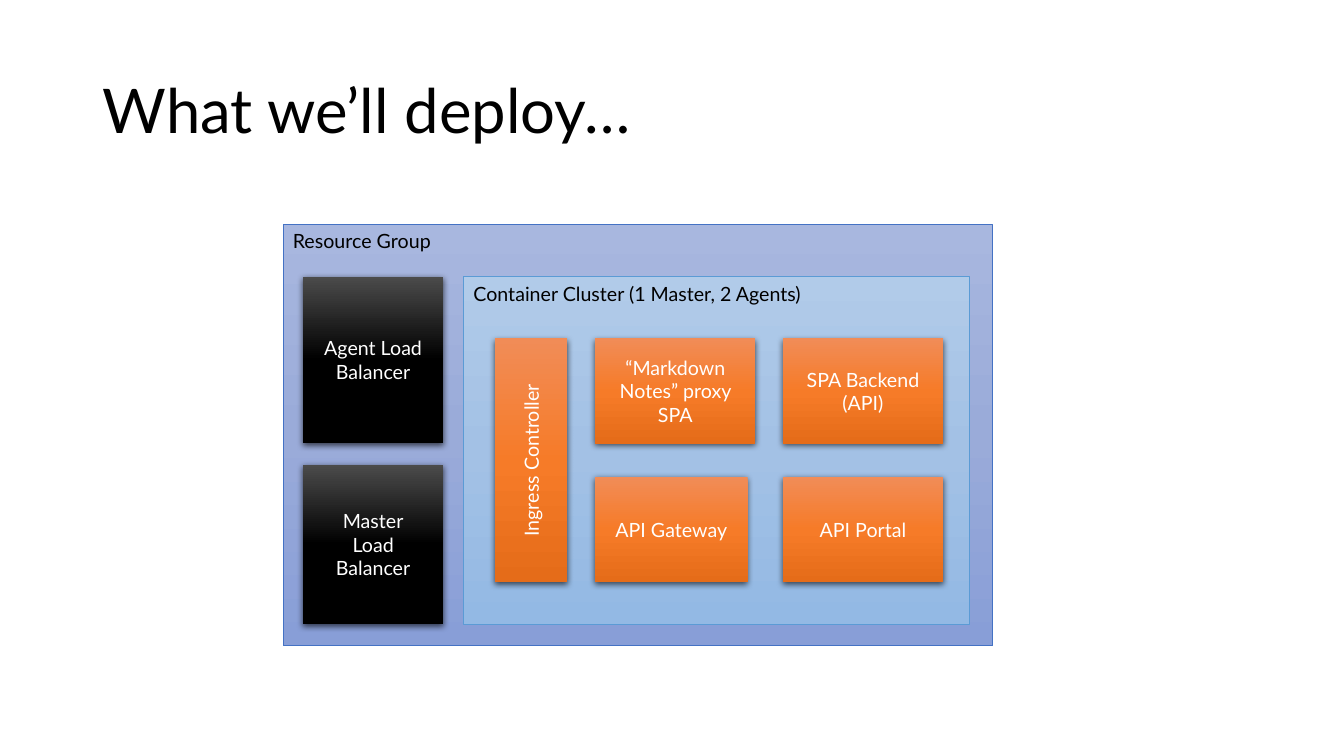
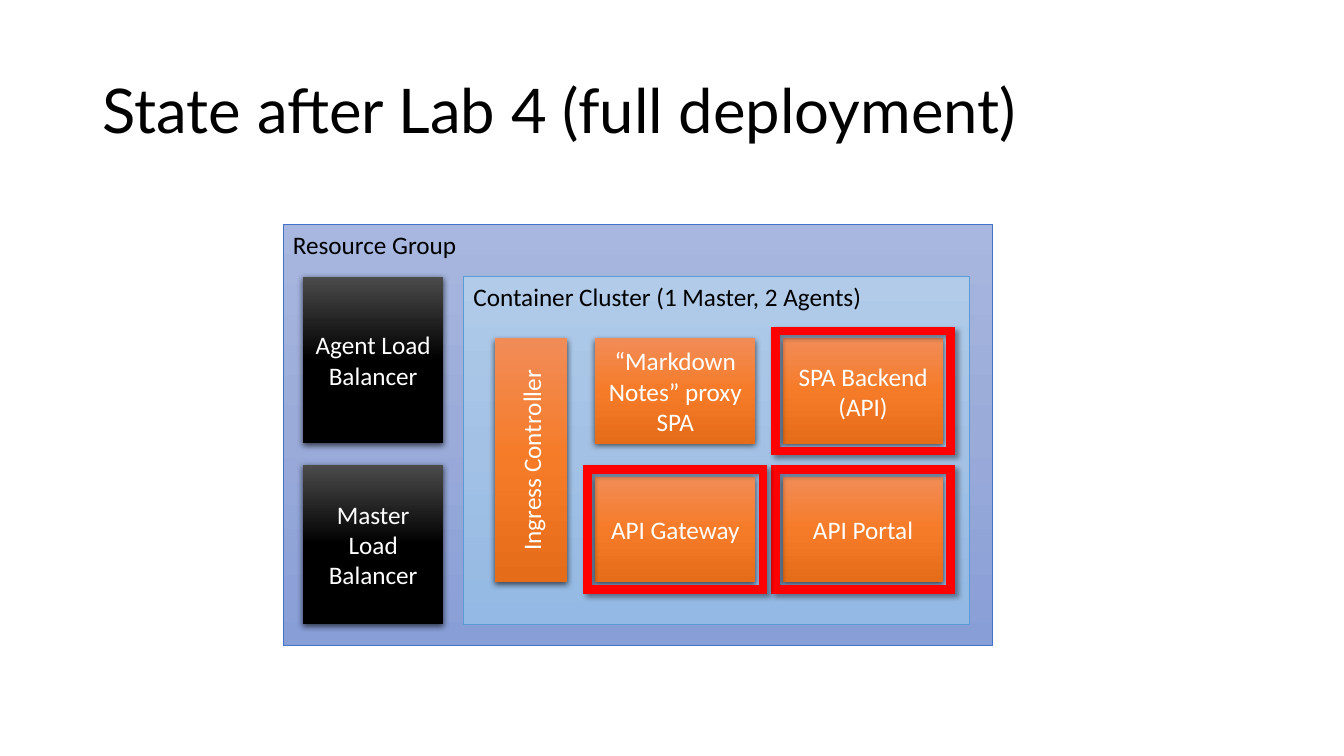
import copy

import lxml.etree
import pptx
import pptx.dml.color
import pptx.enum.shapes
import pptx.enum.text
import pptx.oxml.ns
import pptx.util
from pptx.util import Cm

RGB = pptx.dml.color.RGBColor
ALIGN = pptx.enum.text.PP_ALIGN
ANCHOR = pptx.enum.text.MSO_ANCHOR
qn = pptx.oxml.ns.qn

BLACK = RGB(0x00, 0x00, 0x00)
WHITE = RGB(0xFF, 0xFF, 0xFF)
RED = RGB(0xFF, 0x00, 0x00)
BLUE = RGB(0x44, 0x72, 0xC4)
SKY = RGB(0x5B, 0x9B, 0xD5)

# Top, middle and bottom colour of each gradient
GROUP = (RGB(0xA8, 0xB7, 0xDF), RGB(0x9A, 0xAB, 0xD9), RGB(0x88, 0x9E, 0xD7))
CLUSTER = (RGB(0xB1, 0xCB, 0xE9), RGB(0xA3, 0xC1, 0xE5), RGB(0x93, 0xB9, 0xE4))
DARK = (RGB(0x4B, 0x4B, 0x4B), BLACK, BLACK)
ORANGE = (RGB(0xF1, 0x8C, 0x57), RGB(0xF6, 0x7B, 0x28), RGB(0xE5, 0x6C, 0x19))

# Opacity in percent, blur and distance in points, direction in degrees
SOFT = (63, 4.5, 1.5, 90)
SLANT = (40, 4, 3, 45)

# Grid of the service boxes, in centimetres
COLS = (15.0, 19.73)
ROWS = (8.53, 12.02)
WIDE, HIGH = 4.04, 2.65
PAD = 0.19


def add_title(slide, text):
    """Place and format the slide title."""
    title = slide.shapes.title
    title.left, title.top = Cm(2.33), Cm(1.02)
    title.width, title.height = Cm(29.21), Cm(3.68)
    frame = title.text_frame
    frame.text = text
    frame.auto_size = pptx.enum.text.MSO_AUTO_SIZE.NONE
    frame.vertical_anchor = ANCHOR.MIDDLE
    para = frame.paragraphs[0]
    para.alignment = ALIGN.LEFT
    para.line_spacing = 0.9
    set_font(para, ("Lato", 44), BLACK)


def set_font(para, face, color):
    """Set the font of a paragraph; face is a name and a size."""
    para.font.name = face[0]
    para.font.size = pptx.util.Pt(face[1])
    para.font.color.rgb = color


def add_rect(slide, left, top, width, height):
    """Add a rectangle without shadow, measured in centimetres."""
    rect = slide.shapes.add_shape(
        pptx.enum.shapes.MSO_SHAPE.RECTANGLE,
        Cm(left), Cm(top), Cm(width), Cm(height))
    rect.shadow.inherit = False
    return rect


def set_grad(shape, colors):
    """Fill a shape with a three-stop gradient running downwards."""
    shape.fill.gradient()
    shape.fill.gradient_angle = 270
    stops = shape._element.spPr.find(".//" + qn("a:gsLst"))
    stops.append(copy.deepcopy(stops[0]))
    for stop, place, color in zip(shape.fill.gradient_stops, (0, 0.5, 1), colors):
        stop.position = place
        stop.color.rgb = color


def set_shade(shape, shade):
    """Give a shape a black outer shadow."""
    alpha, blur, dist, angle = shade
    sub = lxml.etree.SubElement
    effects = shape._element.spPr.find(qn("a:effectLst"))
    outer = sub(effects, qn("a:outerShdw"),
                blurRad=str(pptx.util.Pt(blur)), dist=str(pptx.util.Pt(dist)),
                dir=str(angle * 60000), rotWithShape="0")
    color = sub(outer, qn("a:srgbClr"), val=str(BLACK))
    sub(color, qn("a:alpha"), val=str(alpha * 1000))


def set_text(shape, text, face, color, align, anchor):
    """Write text into a shape, one paragraph a line."""
    frame = shape.text_frame
    frame.word_wrap = True
    frame.text = text
    frame.vertical_anchor = anchor
    for para in frame.paragraphs:
        para.alignment = align
        set_font(para, face, color)


def add_zone(slide, place, text, face, colors, edge):
    """Add an outlined area labelled at its top left."""
    zone = add_rect(slide, *place)
    set_grad(zone, colors)
    zone.line.color.rgb = edge
    zone.line.width = pptx.util.Pt(0.5)
    set_text(zone, text, face, BLACK, ALIGN.LEFT, ANCHOR.TOP)


def add_box(slide, place, text, face, colors):
    """Add a shaded box with centred white text."""
    box = add_rect(slide, *place)
    set_grad(box, colors)
    box.line.fill.background()
    set_shade(box, SOFT)
    set_text(box, text, face, WHITE, ALIGN.CENTER, ANCHOR.MIDDLE)
    return box


def add_mark(slide, col, row):
    """Frame one service box in red with sharp corners."""
    mark = add_rect(slide, COLS[col] - PAD, ROWS[row] - PAD,
                    WIDE + 2 * PAD, HIGH + 2 * PAD)
    mark.fill.background()
    mark.line.color.rgb = RED
    mark.line.width = pptx.util.Pt(6)
    edge = mark._element.spPr.find(qn("a:ln"))
    lxml.etree.SubElement(edge, qn("a:miter"), lim="800000")
    set_shade(mark, SLANT)


def add_plan(slide, face, gate=WIDE):
    """Draw the deployment; gate is the width of the gateway box."""
    add_zone(slide, (7.13, 5.65, 17.89, 10.62), "Resource Group",
             face, GROUP, BLUE)
    add_zone(slide, (11.68, 6.97, 12.75, 8.76),
             "Container Cluster (1 Master, 2 Agents)", face, CLUSTER, SKY)
    add_box(slide, (7.64, 6.97, 3.53, 4.2), "Agent Load Balancer", face, DARK)
    add_box(slide, (7.64, 11.71, 3.53, 4.02), "Master\nLoad Balancer", face, DARK)
    cells = (
        (0, 1, gate, "API Gateway"),
        (1, 1, WIDE, "API Portal"),
        (0, 0, WIDE, "“Markdown Notes” proxy SPA"),
        (1, 0, WIDE, "SPA Backend (API)"),
    )
    for col, row, width, text in cells:
        add_box(slide, (COLS[col], ROWS[row], width, HIGH), text, face, ORANGE)
    tall = ROWS[1] + HIGH - ROWS[0]
    entry = add_box(slide, (12.47, ROWS[0], 1.83, tall),
                    "Ingress Controller", face, ORANGE)
    entry.text_frame._txBody.find(qn("a:bodyPr")).set("vert", "vert270")


def main():
    """Build both slides and save them."""
    deck = pptx.Presentation()
    deck.slide_width, deck.slide_height = Cm(33.87), Cm(19.05)
    layout = deck.slide_layouts.get_by_name("Title Only")

    plan = deck.slides.add_slide(layout)
    add_title(plan, "What we’ll deploy…")
    add_plan(plan, ("Lato", 14), gate=3.84)

    state = deck.slides.add_slide(layout)
    add_title(state, "State after Lab 4 (full deployment)")
    add_plan(state, ("Calibri", 18))
    for col, row in ((1, 0), (1, 1), (0, 1)):
        add_mark(state, col, row)

    deck.save("out.pptx")


main()
